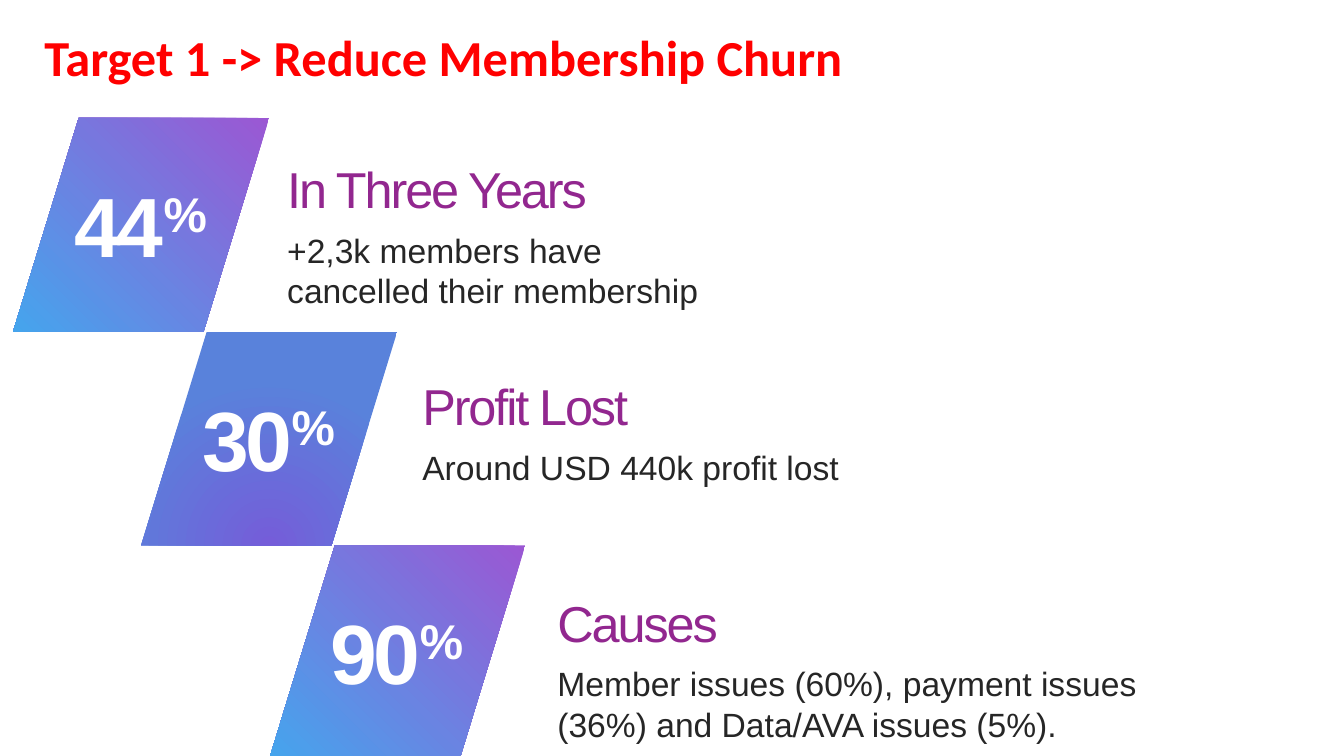
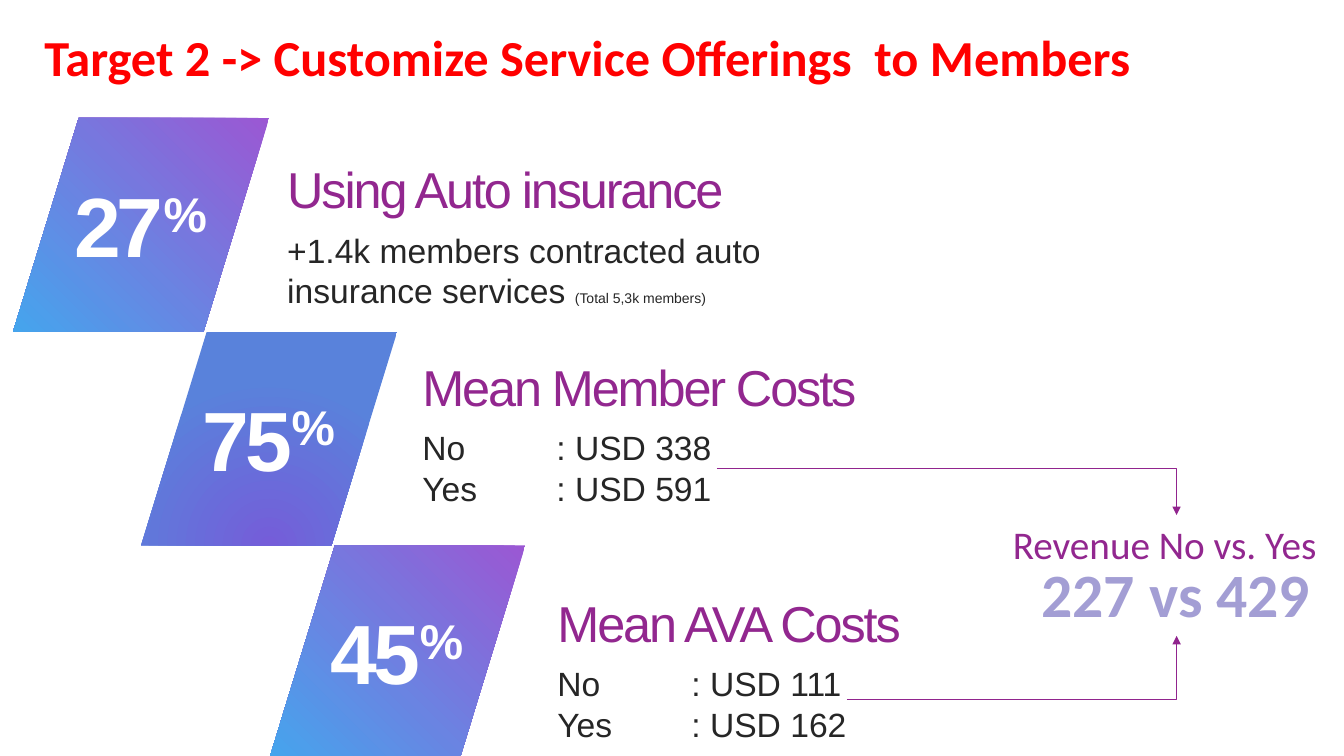
"""Build two target slides with stepped percentage tiles."""
import lxml.etree
import pptx
import pptx.dml.color
import pptx.enum.shapes
import pptx.enum.text
import pptx.oxml.ns
import pptx.util

Inches = pptx.util.Inches
Pt = pptx.util.Pt
qn = pptx.oxml.ns.qn
ANCHOR = pptx.enum.text.MSO_ANCHOR
ALIGN = pptx.enum.text.PP_ALIGN

HUES = {
    "title": "FF0000",
    "head": "92278F",
    "text": "262626",
    "white": "FFFFFF",
    "line": "91248E",
    "total": "A39ED4",
}
WARM = (("45A5ED", "9B57D3"), (0, 100, 100, 0))
COOL = (("755DD9", "5982DB"), (50, 130, 50, -30))
FILLS = (WARM, COOL, WARM)
TILE = (2.54, 2.12)

SLIDES = (
    ("Target 1 -> Reduce Membership Churn", (
        ("44", "In Three Years", 4.45, 0,
         ((("+2,3k members have cancelled their membership", 24),),)),
        ("30", "Profit Lost", 4.69, 0,
         ((("Around USD 440k profit lost", 24),),)),
        ("90", "Causes", 5.97, 0,
         ((("Member issues (60%), payment issues (36%) and Data/AVA issues (5%).", 24),),)),
    )),
    ("Target 2 -> Customize Service Offerings  to Members", (
        ("27", "Using Auto insurance", 5.02, 0,
         ((("+1.4k members contracted auto insurance services ", 24),
           ("(Total 5,3k members)", 10)),)),
        ("75", "Mean Member Costs", 4.69, -0.19,
         ((("No\t: USD 338", 24),), (("Yes\t: USD 591", 24),))),
        ("45", "Mean AVA Costs", 5.97, 0,
         ((("No\t: USD 111", 24),), (("Yes\t: USD 162", 24),))),
    )),
)


def tint(name):
    return pptx.dml.color.RGBColor.from_string(HUES.get(name, name))


def add_run(para, text, size, hue, face="Arial", bold=False, **attrs):
    run = para.add_run()
    run.text = text
    font = run.font
    font.size, font.name, font.bold = Pt(size), face, bold
    font.color.rgb = tint(hue)
    for key, value in attrs.items():
        run._r.get_or_add_rPr().set(key, str(value))


def add_box(slide, box, wrap=True, anchor=ANCHOR.TOP):
    frame = slide.shapes.add_textbox(*map(Inches, box)).text_frame
    frame.word_wrap = wrap
    frame.vertical_anchor = anchor
    return frame


def set_title(slide, text):
    title = slide.shapes.title
    title.left, title.top, title.width, title.height = map(Inches, (0.31, 0.17, 12, 0.78))
    frame = title.text_frame
    frame.margin_left = frame.margin_right = Inches(0.13)
    frame.margin_top = frame.margin_bottom = Inches(0.07)
    frame.vertical_anchor = ANCHOR.MIDDLE
    para = frame.paragraphs[0]
    para.alignment = ALIGN.LEFT
    add_run(para, text, 36, "title", "Calibri", True)


def add_glow(shape, hues, focus):
    shape.fill.gradient()
    for stop, hue in zip(shape.fill.gradient_stops, hues):
        stop.color.rgb = tint(hue)
    grad = shape._element.spPr.find(qn("a:gradFill"))
    grad.remove(grad.find(qn("a:lin")))
    ring = lxml.etree.SubElement(grad, qn("a:path"), path="circle")
    rect = lxml.etree.SubElement(ring, qn("a:fillToRect"))
    for side, share in zip("ltrb", focus):
        rect.set(side, str(share * 1000))


def add_tile(slide, left, top, value, fill):
    kind = pptx.enum.shapes.MSO_SHAPE.PARALLELOGRAM
    tile = slide.shapes.add_shape(kind, *map(Inches, (left, top, *TILE)))
    tile.adjustments[0] = 0.307
    tile.shadow.inherit = False
    tile.line.fill.background()
    add_glow(tile, *fill)
    para = add_box(slide, (left + 0.51, top + 0.5, 1.52, 1.11), False).paragraphs[0]
    add_run(para, value, 60, "white", bold=True, spc=-300)
    add_run(para, "%", 60, "white", bold=True, spc=-300, baseline=30000)


def add_fact(slide, left, top, head, width, lines):
    frame = add_box(slide, (left, top, 6.02, 0.9), anchor=ANCHOR.MIDDLE)
    add_run(frame.paragraphs[0], head, 36, "head", spc=-150)
    tall = 0.5 if len(lines) == 1 and width == 4.69 else 0.91
    frame = add_box(slide, (left, top + 0.81, width, tall))
    for i, runs in enumerate(lines):
        para = frame.add_paragraph() if i else frame.paragraphs[0]
        if "\t" in runs[0][0]:
            tabs = lxml.etree.SubElement(para._p.get_or_add_pPr(), qn("a:tabLst"))
            lxml.etree.SubElement(tabs, qn("a:tab"), pos=str(Inches(1.33)), algn="l")
        for text, size in runs:
            add_run(para, text, size, "text")


def add_steps(slide, left, top, items):
    for i, (value, head, width, shift, lines) in enumerate(items):
        add_tile(slide, left + 1.27 * i, top + TILE[1] * i, value, FILLS[i])
        add_fact(slide, left + 2.62 + 1.34 * i, top + 0.25 + 2.15 * i + shift,
                 head, width, lines)


def add_bend(slide, *ends):
    kind = pptx.enum.shapes.MSO_CONNECTOR.ELBOW
    bend = slide.shapes.add_connector(kind, *map(Inches, ends))
    bend.line.color.rgb = tint("line")
    bend.line.width = Pt(0.75)
    props = bend._element.spPr
    props.find(qn("a:prstGeom")).set("prst", "bentConnector2")
    lxml.etree.SubElement(props.find(qn("a:ln")), qn("a:tailEnd"), type="triangle")
    lxml.etree.SubElement(props, qn("a:effectLst"))


def add_total(slide, left, top):
    mid = left + 1.78
    add_bend(slide, 7.11, top - 0.46, mid, top)
    add_bend(slide, 8.4, top + 1.83, mid, top + 1.2)
    parts = (
        ((left, top, 3.32, 0.57), "Revenue No vs. Yes", 28, "head", False),
        ((left + 0.33, top + 0.36, 2.89, 0.84), "227 vs 429", 44, "total", True),
    )
    for box, text, size, hue, bold in parts:
        para = add_box(slide, box, False).paragraphs[0]
        para.alignment = ALIGN.CENTER
        add_run(para, text, size, hue, "Calibri", bold)


def main():
    deck = pptx.Presentation()
    deck.slide_width, deck.slide_height = Inches(13.33), Inches(7.5)
    for title, items in SLIDES:
        slide = deck.slides.add_slide(deck.slide_layouts[5])
        set_title(slide, title)
        add_steps(slide, 0.13, 1.17, items)
    add_total(slide, 9.89, 5.11)
    deck.save("out.pptx")


if __name__ == "__main__":
    main()
